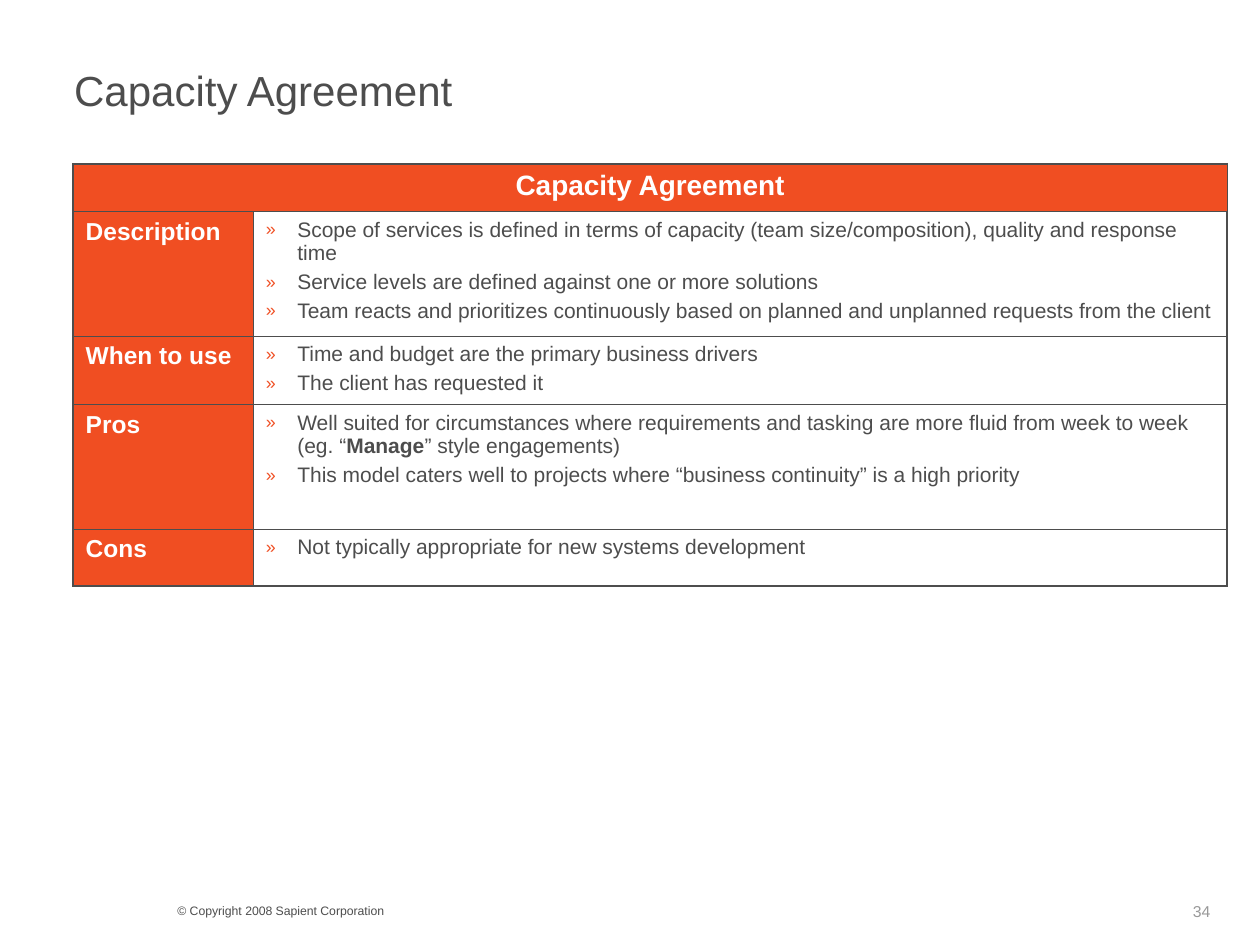
from lxml import etree
from pptx import Presentation
from pptx.dml.color import RGBColor
from pptx.enum import text
from pptx.oxml import ns
from pptx.util import Inches, Pt

ORANGE = RGBColor(0xF0, 0x4E, 0x22)
DARK = RGBColor(0x4D, 0x4D, 0x4D)
GRAY = RGBColor(0x99, 0x99, 0x99)
WHITE = RGBColor(0xFF, 0xFF, 0xFF)

HEADING = "Capacity Agreement"
# Each topic has bullets; each bullet is a list of (words, bold) runs
TOPICS = [
    ("Description", [
        [("Scope of services is defined in terms of capacity (team size/composition), "
          "quality and response time", False)],
        [("Service levels are defined against one or more solutions", False)],
        [("Team reacts and prioritizes continuously based on planned and unplanned "
          "requests from the client", False)],
    ]),
    ("When to use", [
        [("Time and budget are the primary business drivers", False)],
        [("The client has requested it", False)],
    ]),
    ("Pros", [
        [("Well suited for circumstances where requirements and tasking are more fluid "
          "from week to week (eg. “", False), ("Manage", True),
         ("” style engagements)", False)],
        [("This model caters well to projects where “business continuity” is a high "
          "priority", False)],
    ]),
    ("Cons", [
        [("Not typically appropriate for new systems development", False)],
    ]),
]
COLUMN_WIDTHS = [1.43, 7.73]
ROW_HEIGHTS = [0.38, 0.99, 0.54, 0.99, 0.45]


def add_xml(parent, tag, **attributes):
    return etree.SubElement(parent, ns.qn(tag), attributes)


class SlideBuilder:
    font = "Arial"
    outer_line, inner_line = 1.08, 0.45

    def __init__(self, slide):
        self.slide = slide

    def run(self, paragraph, words, size, color, bold=False):
        run = paragraph.add_run()
        run.text = words
        run.font.name = self.font
        run.font.size = Pt(size)
        run.font.bold = bold
        run.font.color.rgb = color

    def label(self, words, left, top, width, height, size, color,
              anchor=text.MSO_ANCHOR.TOP):
        box = self.slide.shapes.add_textbox(
            Inches(left), Inches(top), Inches(width), Inches(height))
        frame = box.text_frame
        frame.word_wrap = True
        frame.vertical_anchor = anchor
        self.run(frame.paragraphs[0], words, size, color)

    def table(self, left, top, widths, heights):
        grid = self.slide.shapes.add_table(
            len(heights), len(widths), Inches(left), Inches(top),
            Inches(sum(widths)), Inches(sum(heights))).table
        grid.horz_banding = False
        for column, width in zip(grid.columns, widths):
            column.width = Inches(width)
        for row, height in zip(grid.rows, heights):
            row.height = Inches(height)
        last_row, last_column = len(heights) - 1, len(widths) - 1
        for r in range(len(heights)):
            for c in range(len(widths)):
                cell = grid.cell(r, c)
                self.borders(cell, {"a:lnL": c == 0, "a:lnR": c == last_column,
                                    "a:lnT": r == 0, "a:lnB": r == last_row})
                cell.fill.solid()
                cell.fill.fore_color.rgb = ORANGE if r == 0 or c == 0 else WHITE
        return grid

    def borders(self, cell, sides):
        properties = cell._tc.get_or_add_tcPr()
        for tag, is_outer in sides.items():
            width = Pt(self.outer_line if is_outer else self.inner_line)
            line = add_xml(properties, tag, w=str(width))
            add_xml(add_xml(line, "a:solidFill"), "a:srgbClr", val=str(DARK))

    def bullets(self, cell, items):
        frame = cell.text_frame
        for i, item in enumerate(items):
            paragraph = frame.add_paragraph() if i else frame.paragraphs[0]
            properties = paragraph._p.get_or_add_pPr()
            properties.set("marL", str(Inches(0.25)))
            properties.set("indent", str(-Inches(0.25)))
            add_xml(add_xml(properties, "a:buClr"), "a:srgbClr", val=str(ORANGE))
            add_xml(properties, "a:buSzPct", val="85000")
            add_xml(properties, "a:buFont", typeface=self.font)
            add_xml(properties, "a:buChar", char="»")
            if i:
                paragraph.space_before = Pt(3)
            for words, bold in item:
                self.run(paragraph, words, 12, DARK, bold)


def main():
    deck = Presentation()
    deck.slide_width, deck.slide_height = Inches(10), Inches(7.5)
    builder = SlideBuilder(deck.slides.add_slide(deck.slide_layouts[6]))

    # Footer
    builder.label("© Copyright 2008 Sapient Corporation", 1.31, 7.12, 4, 0.22, 7, DARK)
    builder.label("34", 9.37, 7.11, 0.6, 0.24, 9, GRAY)

    # Title
    builder.label(HEADING, 0.49, 0.44, 9.01, 0.55, 24, DARK, text.MSO_ANCHOR.MIDDLE)

    # Agreement table
    agreement = builder.table(0.58, 1.3, COLUMN_WIDTHS, ROW_HEIGHTS)
    header = agreement.cell(0, 0)
    header.merge(agreement.cell(0, 1))
    header_line = header.text_frame.paragraphs[0]
    header_line.alignment = text.PP_ALIGN.CENTER
    builder.run(header_line, HEADING, 16, WHITE, bold=True)
    for row, (topic, items) in enumerate(TOPICS, start=1):
        topic_line = agreement.cell(row, 0).text_frame.paragraphs[0]
        builder.run(topic_line, topic, 14, WHITE, bold=True)
        builder.bullets(agreement.cell(row, 1), items)

    deck.save("out.pptx")


if __name__ == "__main__":
    main()
